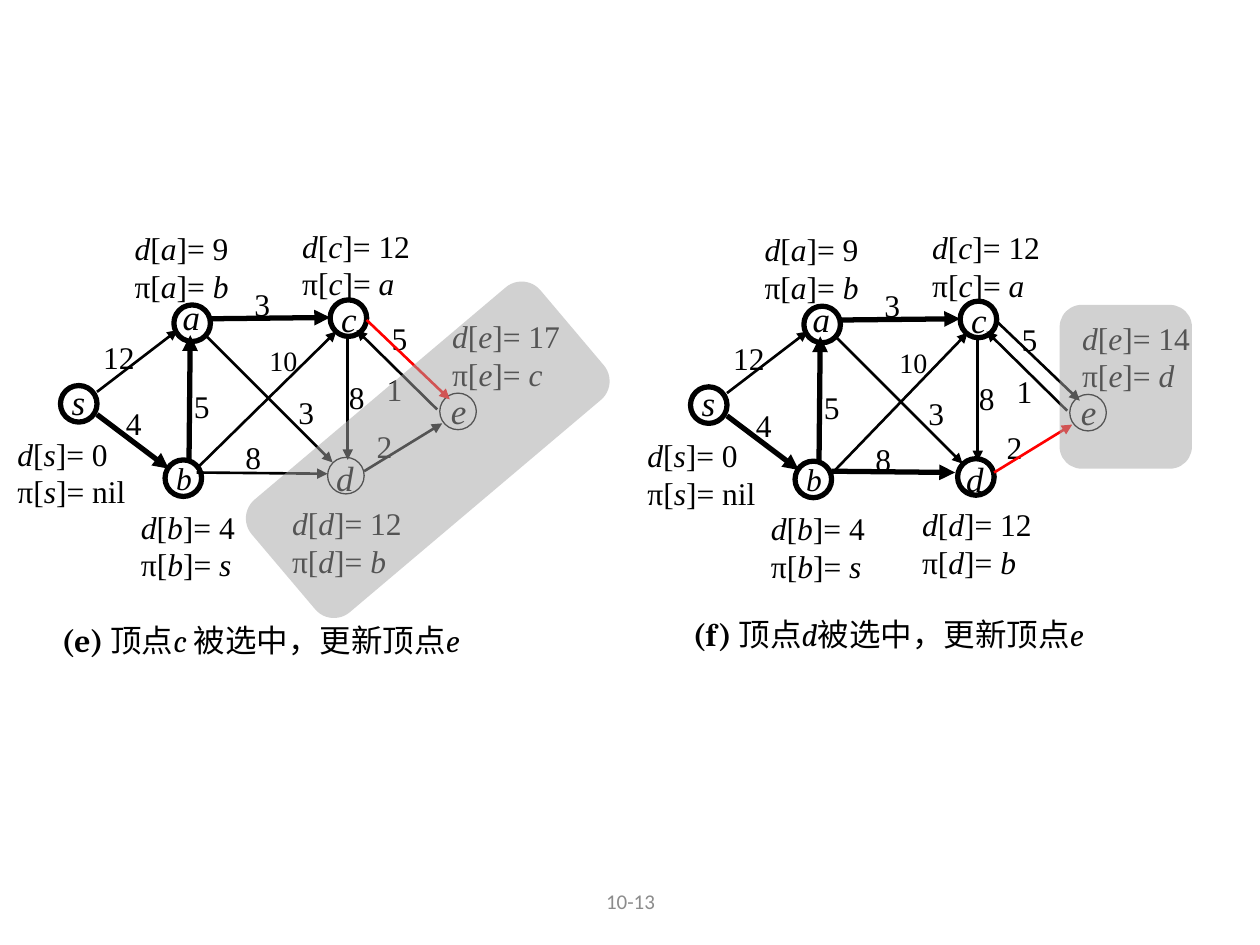
from lxml.etree import SubElement
from pptx import Presentation
from pptx.dml.color import RGBColor
from pptx.enum.shapes import MSO_CONNECTOR as Connector, MSO_SHAPE as Shape
from pptx.enum.text import MSO_ANCHOR as Anchor, PP_ALIGN as Align
from pptx.oxml.ns import qn
from pptx.util import Emu, Pt

PX = 9144  # 100 px to the inch
BLACK, RED, VEIL, GREY = "000000", "FF0000", "A6A6A6", "8C8C8C"
SERIF = "Times New Roman"
THIN, MEDIUM, THICK = 0.75, 1.5, 3

# vertex: circle left, top; letter box left, top, width; letter size; alignment
VERTICES = {
    "s": (48, 306, 47, 297, 46, 20, Align.LEFT),
    "a": (138, 242, 135, 230, 28, 20, Align.LEFT),
    "b": (131, 365, 129, 359, 34, 18, Align.CENTER),
    "c": (262, 238, 261, 231, 31, 20, Align.LEFT),
    "d": (260, 363, 257, 357, 46, 20, Align.LEFT),
    "e": (349, 312, 347, 304, 34, 20, Align.CENTER),
}
# edge: start x, y, end x, y
EDGES = {
    "sa": (77, 311, 141, 262),
    "sb": (77, 329, 134, 372),
    "ba": (150, 366, 151, 266),
    "ac": (167, 253, 262, 252),
    "ad": (162, 265, 264, 367),
    "bc": (158, 370, 267, 263),
    "bd": (156, 375, 260, 376),
    "cd": (276, 269, 276, 365),
    "ce": (291, 254, 357, 317),
    "ec": (347, 325, 283, 262),
    "de": (289, 374, 351, 336),
}
# weight: text, left, top, width, size
WEIGHTS = [
    ("12", 72, 263, 58, 18), ("4", 90, 316, 46, 18), ("5", 144, 302, 46, 18),
    ("3", 192, 221, 57, 18), ("3", 227, 307, 46, 18), ("10", 204, 268, 54, 16),
    ("8", 185, 343, 46, 18), ("8", 267, 295, 46, 18), ("5", 301, 248, 46, 18),
    ("1", 297, 289, 46, 18), ("2", 289, 334, 46, 18),
]
# state: vertex, distance, predecessor, left, top, width, height
STATES = [
    ("s", 0, "nil", 4, 340, 114, 69),
    ("a", 9, "b", 97, 177, 124, 72),
    ("b", 4, "s", 102, 398, 125, 69),
    ("c", 12, "a", 230, 175, 131, 70),
    ("d", 12, "b", 222, 395, 127, 72),
]


def px(value):
    return Emu(value * PX)


def color(code):
    return RGBColor.from_string(code)


def add_text(shapes, box, lines, size=18, font=SERIF, ink=BLACK,
             align=Align.LEFT, anchor=Anchor.TOP):
    """Each line is a list of (text, style) runs; style holds b and/or i."""
    frame = shapes.add_textbox(*map(px, box)).text_frame
    frame.word_wrap = True
    frame.vertical_anchor = anchor
    for index, line in enumerate(lines):
        paragraph = frame.add_paragraph() if index else frame.paragraphs[0]
        paragraph.alignment = align
        for text, style in line:
            run = paragraph.add_run()
            run.text = text
            run.font.name, run.font.size = font, Pt(size)
            run.font.bold, run.font.italic = "b" in style, "i" in style
            run.font.color.rgb = color(ink)


def add_vertex(shapes, left, top, name, width):
    x, y, text_x, text_y, text_width, size, align = VERTICES[name]
    add_text(shapes, (left + text_x, top + text_y, text_width, 37),
             [[(name, "i")]], size, align=align)
    circle = shapes.add_shape(Shape.OVAL, px(left + x), px(top + y), px(29), px(29))
    circle.shadow.inherit = False
    circle.fill.background()
    circle.line.color.rgb = color(BLACK)
    circle.line.width = Pt(width)


def add_edge(shapes, left, top, points, width, ink):
    x1, y1, x2, y2 = points
    edge = shapes.add_connector(Connector.STRAIGHT, px(left + x1), px(top + y1),
                                px(left + x2), px(top + y2))
    edge.line.color.rgb = color(ink)
    edge.line.width = Pt(width)
    SubElement(edge.line._get_or_add_ln(), qn("a:tailEnd"), type="triangle")
    SubElement(edge._element.spPr, qn("a:effectLst"))


def add_state(shapes, left, top, vertex, distance, parent, x, y, width, height):
    lines = [
        [("d", "i"), ("[", ""), (vertex, "i"), (f"]= {distance}", "")],
        [("π[", ""), (vertex, "i"), ("]= ", ""),
         (parent, "" if parent == "nil" else "i")],
    ]
    add_text(shapes, (left + x, top + y, width, height), lines)


def add_graph(slide, left, top, chosen, tree, relaxed, e_state, moved):
    """One step of the algorithm: chosen vertices, tree edges, relaxed edge."""
    shapes = slide.shapes.add_group_shape().shapes
    for state in STATES + [("e", *e_state, 349, 247, 123, 72)]:
        add_state(shapes, left, top, *state)
    for text, x, y, width, size in WEIGHTS:
        add_text(shapes, (left + x, top + y, width, 37), [[(text, "")]], size)
    for name in VERTICES:
        add_vertex(shapes, left, top, name, THICK if name in chosen else THIN)
    for name, points in (EDGES | moved).items():
        add_edge(shapes, left, top, points, THICK if name in tree else MEDIUM,
                 RED if name == relaxed else BLACK)


def add_caption(slide, left, top, label, vertex):
    line = [(label, "b"), ("顶点", ""), (vertex, "i"),
            ("被选中，更新顶点", ""), ("e", "i")]
    add_text(slide.shapes, (left, top, 419, 44), [line], font="Cambria")


def add_veil(slide, box, rotation=0):
    """Translucent cover over the vertices not chosen yet."""
    veil = slide.shapes.add_shape(Shape.ROUNDED_RECTANGLE, *map(px, box))
    veil.shadow.inherit = False
    veil.rotation = rotation
    veil.fill.solid()
    veil.fill.fore_color.rgb = color(VEIL)
    fill = veil._element.spPr.find(qn("a:solidFill"))
    SubElement(fill[0], qn("a:alpha"), val="51000")
    veil.line.fill.background()


def main():
    presentation = Presentation()
    presentation.slide_width, presentation.slide_height = px(1000), px(750)
    slide = presentation.slides.add_slide(presentation.slide_layouts[6])

    add_graph(slide, 0, 0, "sabc", {"sb", "ba", "ac"}, "ce", (17, "c"), {})
    add_caption(slide, 39, 488, "(e) ", "c ")
    add_graph(slide, 500, 1, "sabcd", {"sb", "ba", "ac", "bd"}, "de", (14, "d"),
              {"bc": (160, 375, 268, 263), "bd": (160, 373, 258, 374)})
    add_caption(slide, 540, 483, "(f) ", "d")
    add_veil(slide, (281, 207, 117, 300), 49.8)
    add_veil(slide, (841, 242, 105, 130))
    add_text(slide.shapes, (342, 695, 317, 40), [[("10-13", "")]], 12, "Calibri",
             GREY, Align.CENTER, Anchor.MIDDLE)
    presentation.save("out.pptx")


if __name__ == "__main__":
    main()
